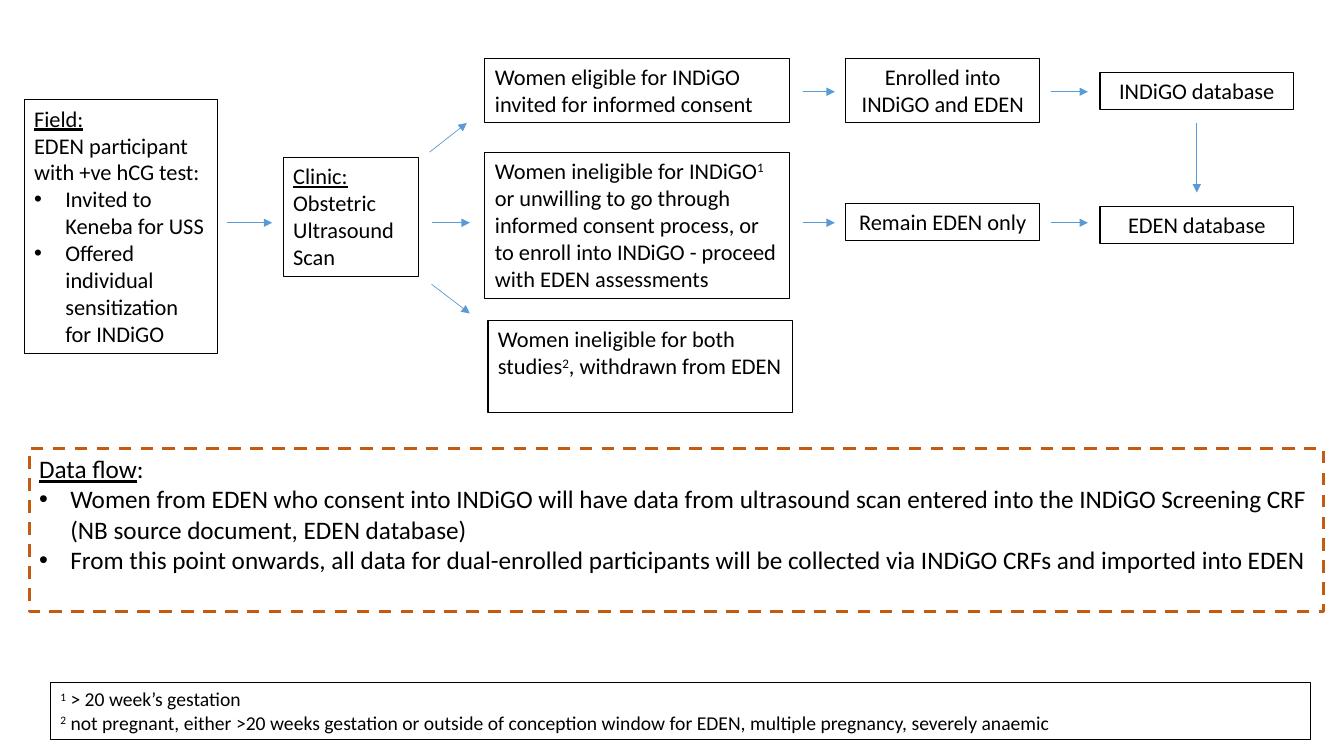
from dataclasses import dataclass

from lxml.etree import SubElement
from pptx import Presentation
from pptx.dml.color import RGBColor
from pptx.enum.dml import MSO_LINE_DASH_STYLE as Dash
from pptx.enum.shapes import MSO_CONNECTOR as Connector
from pptx.enum.text import MSO_ANCHOR as Anchor, MSO_AUTO_SIZE as AutoSize, PP_ALIGN as Align
from pptx.oxml.ns import qn
from pptx.slide import Slide
from pptx.util import Emu, Pt

PX = 9144  # EMU in one px, 100 px to the inch
FONT = "Calibri"
COLOURS = {"ink": "000000", "arrow": "5B9BD5", "data": "C55A11"}
BULLET_INDENT = 31


@dataclass(frozen=True)
class Span:
    text: str
    underline: bool = False
    raised: bool = False


@dataclass(frozen=True)
class Para:
    spans: tuple[Span, ...]
    bullet: bool = False


@dataclass(frozen=True)
class Box:
    left: int
    top: int
    width: int
    height: int
    paras: tuple[Para, ...]
    size: int = 16
    centred: bool = False
    colour: str = "ink"
    weight: float = 0.75
    dashed: bool = False


@dataclass(frozen=True)
class Arrow:
    x1: int
    y1: int
    x2: int
    y2: int


def px(length: int) -> Emu:
    return Emu(length * PX)


def rgb(name: str) -> RGBColor:
    return RGBColor.from_string(COLOURS[name])


def plain(text: str) -> Para:
    return Para((Span(text),))


def heading(text: str, rest: str = "") -> Para:
    spans = (Span(text, underline=True),)
    return Para(spans + (Span(rest),) if rest else spans)


def bullet(text: str) -> Para:
    return Para((Span(text),), bullet=True)


def noted(before: str, mark: str, after: str) -> Para:
    spans = (Span(before), Span(mark, raised=True), Span(after))
    return Para(tuple(span for span in spans if span.text))


# Columns and rows of the flow
CHOICE_LEFT, CHOICE_WIDTH = 481, 302
STATUS_LEFT, DATABASE_LEFT, NARROW = 839, 1091, 192
LINE_HEIGHT, TWO_LINES = 37, 64
TOP_ROW, MIDDLE_ROW = 91, 221

BOXES = (
    # Recruitment
    Box(24, 99, NARROW, 252, (
        heading("Field:"),
        plain("EDEN participant with +ve hCG test:"),
        bullet("Invited to Keneba for USS"),
        bullet("Offered individual sensitization for INDiGO"))),
    Box(281, 156, 134, 118, (heading("Clinic:"), plain("Obstetric Ultrasound Scan"))),
    # Eligibility
    Box(CHOICE_LEFT, 58, CHOICE_WIDTH, TWO_LINES, (
        plain("Women eligible for INDiGO invited for informed consent"),)),
    Box(CHOICE_LEFT, 151, CHOICE_WIDTH, 145, (
        noted("Women ineligible for INDiGO", "1",
              " or unwilling to go through informed consent process, or "
              "to enroll into INDiGO - proceed with EDEN assessments"),)),
    Box(484, 318, CHOICE_WIDTH, 91, (
        noted("Women ineligible for both studies", "2", ", withdrawn from EDEN"),)),
    # Enrolment and databases
    Box(STATUS_LEFT, 58, NARROW, TWO_LINES,
        (plain("Enrolled into INDiGO and EDEN"),), centred=True),
    Box(STATUS_LEFT, 202, NARROW, LINE_HEIGHT, (plain("Remain EDEN only"),), centred=True),
    Box(DATABASE_LEFT, 72, NARROW, LINE_HEIGHT, (plain("INDiGO database"),), centred=True),
    Box(DATABASE_LEFT, 205, NARROW, LINE_HEIGHT, (plain("EDEN database"),), centred=True),
    # Data flow
    Box(29, 445, 1284, 162, (
        heading("Data flow", ":"),
        bullet("Women from EDEN who consent into INDiGO will have data from ultrasound scan "
               "entered into the INDiGO Screening CRF (NB source document, EDEN database)"),
        bullet("From this point onwards, all data for dual-enrolled participants will be "
               "collected via INDiGO CRFs and imported into EDEN")),
        size=18, colour="data", weight=2.25, dashed=True),
    # Footnotes
    Box(50, 677, 1250, 57, (
        noted("", "1", " > 20 week’s gestation"),
        noted("", "2", " not pregnant, either >20 weeks gestation or outside of conception "
                       "window for EDEN, multiple pregnancy, severely anaemic")), size=14),
)

ARROWS = (
    Arrow(225, MIDDLE_ROW, 270, MIDDLE_ROW),
    Arrow(426, 151, 463, 122),
    Arrow(428, MIDDLE_ROW, 466, MIDDLE_ROW),
    Arrow(428, 282, 466, 311),
    *(Arrow(start, row, end, row)
      for row in (TOP_ROW, MIDDLE_ROW)
      for start, end in ((796, 828), (1042, 1079))),
    Arrow(1187, 122, 1187, 191),
)


def draw_box(page: Slide, spec_box: Box) -> None:
    box = page.shapes.add_textbox(
        px(spec_box.left), px(spec_box.top), px(spec_box.width), px(spec_box.height))
    box.line.color.rgb = rgb(spec_box.colour)
    box.line.width = Pt(spec_box.weight)
    if spec_box.dashed:
        box.line.dash_style = Dash.DASH
    frame = box.text_frame
    frame.word_wrap = True
    frame.auto_size = AutoSize.NONE
    frame.vertical_anchor = Anchor.TOP
    for index, content in enumerate(spec_box.paras):
        para = frame.add_paragraph() if index else frame.paragraphs[0]
        para.alignment = Align.CENTER if spec_box.centred else Align.LEFT
        if content.bullet:
            properties = para._p.get_or_add_pPr()
            properties.set("marL", str(px(BULLET_INDENT)))
            properties.set("indent", str(px(-BULLET_INDENT)))
            SubElement(properties, qn("a:buFont"), typeface="Arial")
            SubElement(properties, qn("a:buChar"), char="•")
        for piece in content.spans:
            span = para.add_run()
            span.text = piece.text
            span.font.name = FONT
            span.font.size = Pt(spec_box.size)
            span.font.color.rgb = rgb("ink")
            if piece.underline:
                span.font.underline = True
            if piece.raised:
                span._r.get_or_add_rPr().set("baseline", "30000")


def draw_arrow(page: Slide, arrow: Arrow) -> None:
    line = page.shapes.add_connector(
        Connector.STRAIGHT, px(arrow.x1), px(arrow.y1), px(arrow.x2), px(arrow.y2))
    line.line.color.rgb = rgb("arrow")
    line.line.width = Pt(0.5)
    SubElement(line.line._get_or_add_ln(), qn("a:tailEnd"), type="triangle")
    SubElement(line._element.spPr, qn("a:effectLst"))


def main() -> None:
    deck = Presentation()
    deck.slide_width, deck.slide_height = px(1333), px(750)
    page = deck.slides.add_slide(deck.slide_layouts[6])
    for box in BOXES:
        draw_box(page, box)
    for arrow in ARROWS:
        draw_arrow(page, arrow)
    deck.save("out.pptx")


if __name__ == "__main__":
    main()
